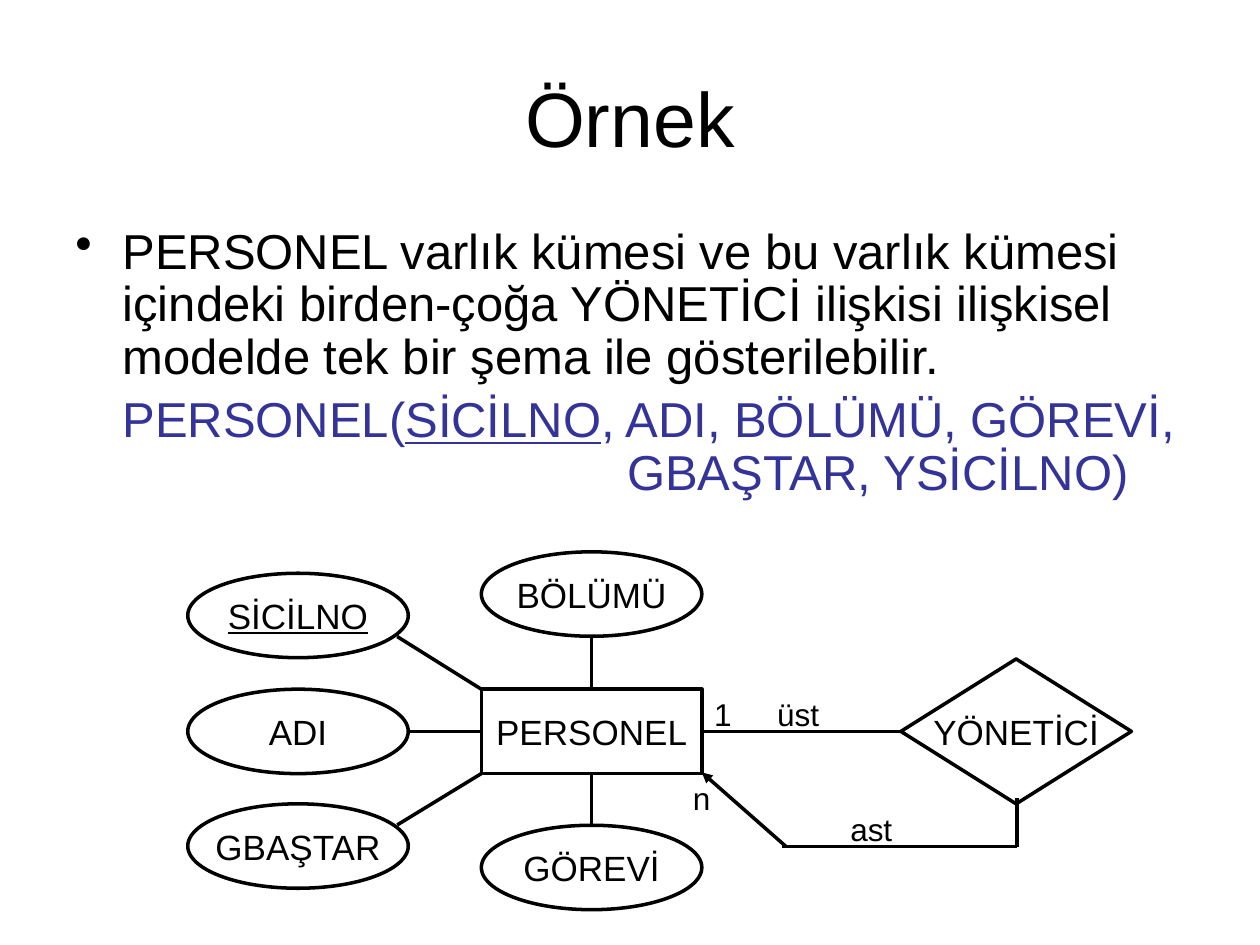
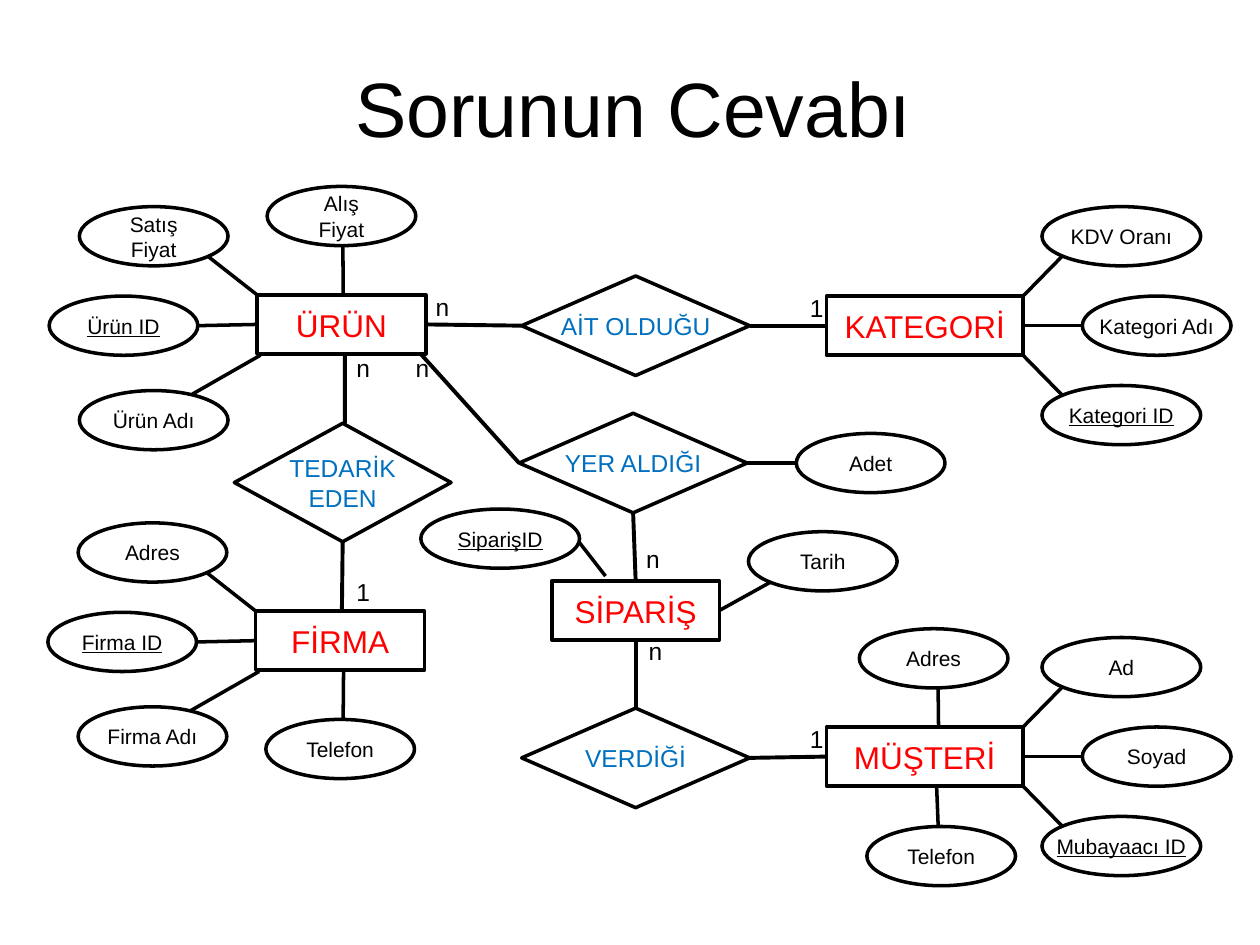
import pptx
import pptx.util
import pptx.dml.color
import pptx.enum.shapes
import pptx.enum.text
import pptx.oxml.ns
import lxml.etree

BLACK = pptx.dml.color.RGBColor(0x00, 0x00, 0x00)
RED = pptx.dml.color.RGBColor(0xFF, 0x00, 0x00)
BLUE = pptx.dml.color.RGBColor(0x00, 0x70, 0xC0)
INDIGO = pptx.dml.color.RGBColor(0x33, 0x33, 0x99)
FONT = "Arial"
COLUMNS, ROWS = 100, 75

TOP, BOTTOM, LEFT, RIGHT = (0.5, 0), (0.5, 1), (0, 0.5), (1, 0.5)
TOP_LEFT, TOP_RIGHT, BOTTOM_LEFT, BOTTOM_RIGHT = (0, 0), (1, 0), (0, 1), (1, 1)

SUMMARY = [
    [("PERSONEL varlık kümesi ve bu varlık kümesi içindeki birden-çoğa "
      "YÖNETİCİ ilişkisi ilişkisel modelde tek bir şema ile gösterilebilir.", False)],
    [("PERSONEL(", False), ("SİCİLNO", True), (", ADI, BÖLÜMÜ, GÖREVİ,", False)],
    [("GBAŞTAR, YSİCİLNO)", False)],
]
SUMMARY_FORMATS = [
    dict(color=BLACK, bullet=True, indent=3.75),
    dict(color=INDIGO, indent=3.75, before=5.6),
    dict(color=INDIGO, indent=43.8),
]

KEYS = {"SİCİLNO", "Ürün ID", "Kategori ID", "Firma ID", "Mubayaacı ID", "SiparişID"}

EXAMPLE = dict(
    title="Örnek", title_at=(5, 3),
    sizes=dict(entity=20, relation=20, attribute=20, label=18),
    attribute_height=6.7,
    slots=dict(
        left_top=(-23.3, -9.2, 17.5, (0.95, 0.75), TOP_LEFT),
        left=(-23.3, 0, 17.5, RIGHT, LEFT),
        left_bottom=(-23.3, 9.1, 17.5, (0.95, 0.25), BOTTOM_LEFT),
        top=(0, -10.9, 17.5, BOTTOM, TOP),
        bottom=(0, 10.8, 17.5, TOP, BOTTOM),
    ),
    entities={"PERSONEL": (38.2, 54.7, 17.5, 6.7)},
    relations={"YÖNETİCİ": (71.5, 52.3, 18.3, 11.5)},
    colors=dict(entity=BLACK, relation=BLACK),
    attributes={"PERSONEL": dict(left_top="SİCİLNO", left="ADI", left_bottom="GBAŞTAR",
                                 top="BÖLÜMÜ", bottom="GÖREVİ")},
    links=[("PERSONEL", RIGHT, "YÖNETİCİ", LEFT)],
    link_width=2,
    routes=[[(80.7, 63.3), (80.7, 67.2), (62.1, 67.2)]],
    arrows=[((55.7, 61.3), (62.4, 67.2))],
    label_align="LEFT",
    labels=[("üst", 60.7, 54.7, 6.7), ("ast", 66.5, 63.8, 6.7),
            ("1", 55.7, 54.7, 4.2), ("n", 54, 61.3, 4.2)],
)

ANSWER = dict(
    title="Sorunun Cevabı", title_at=(5.3, 2.2),
    sizes=dict(entity=18, relation=14, attribute=12, label=14),
    attribute_height=4.7,
    slots=dict(
        left_top=(-14.1, -7, 11.8, (0.86, 0.83), TOP_LEFT),
        left=(-16.5, 0.1, 11.8, RIGHT, LEFT),
        left_bottom=(-14.1, 7.6, 11.8, (0.76, 0.06), (0.02, 1.02)),
        right_top=(17.1, -7.1, 12.6, (0.13, 0.83), TOP_RIGHT),
        right=(20.3, 0, 11.8, LEFT, RIGHT),
        right_bottom=(17.1, 7.1, 12.6, (0.13, 0.17), BOTTOM_RIGHT),
        top=(0.8, -8.6, 11.8, (0.51, 1), (0.51, 0)),
        bottom=(0.8, 8.6, 11.8, (0.52, 0), (0.52, 1)),
        top_centre=(2.6, -7.8, 11.8, (0.53, 1), (0.57, 0)),
        bottom_centre=(3.2, 7.9, 11.8, (0.48, 0), (0.56, 1)),
        date=(15.6, -3.9, 11.8, (0.15, 0.85), RIGHT),
        quantity=(22, 1.6, 11.8, LEFT, RIGHT),
        order_key=(-10.4, -5.7, 12.6, (1, 0.57), (0.32, -0.08)),
    ),
    entities={
        "ÜRÜN": (20.4, 23.4, 13.4, 4.7),
        "KATEGORİ": (65.6, 23.5, 15.6, 4.7),
        "FİRMA": (20.3, 48.5, 13.4, 4.7),
        "SİPARİŞ": (43.8, 46.1, 13.3, 4.7),
        "MÜŞTERİ": (65.6, 57.7, 15.6, 4.7),
    },
    relations={
        "AİT OLDUĞU": (41.4, 21.9, 18.1, 7.9),
        "TEDARİK\nEDEN": (18.6, 33.6, 17.2, 9.4),
        "YER ALDIĞI": (41.2, 32.8, 18.1, 7.9),
        "VERDİĞİ": (41.4, 56.2, 18.1, 7.9),
    },
    colors=dict(entity=RED, relation=BLUE),
    attributes={
        "ÜRÜN": dict(left_top="Satış\nFiyat", left="Ürün ID",
                     left_bottom="Ürün Adı", top="Alış\nFiyat"),
        "KATEGORİ": dict(right_top="KDV Oranı", right="Kategori Adı",
                         right_bottom="Kategori ID"),
        "FİRMA": dict(left_top="Adres", left="Firma ID",
                      left_bottom="Firma Adı", bottom="Telefon"),
        "MÜŞTERİ": dict(right_top="Ad", right="Soyad", right_bottom="Mubayaacı ID",
                        top_centre="Adres", bottom_centre="Telefon"),
        "SİPARİŞ": dict(date="Tarih", order_key="SiparişID"),
        "YER ALDIĞI": dict(quantity="Adet"),
    },
    links=[
        ("ÜRÜN", RIGHT, "AİT OLDUĞU", LEFT),
        ("AİT OLDUĞU", RIGHT, "KATEGORİ", LEFT),
        ("ÜRÜN", (0.52, 1), "TEDARİK\nEDEN", (0.51, 0)),
        ("TEDARİK\nEDEN", BOTTOM, "FİRMA", (0.51, 0)),
        ("ÜRÜN", (0.97, 1), "YER ALDIĞI", LEFT),
        ("YER ALDIĞI", BOTTOM, "SİPARİŞ", TOP),
        ("SİPARİŞ", BOTTOM, "VERDİĞİ", TOP),
        ("VERDİĞİ", RIGHT, "MÜŞTERİ", LEFT),
    ],
    link_width=2.25,
    routes=[],
    arrows=[],
    label_align="CENTER",
    labels=[(mark, left, top, 2.3) for mark, left, top in [
        ("1", 63.3, 22.8), ("n", 33.6, 22.7), ("1", 27.3, 45.3), ("n", 27.3, 27.5),
        ("n", 32, 27.5), ("n", 50.5, 50), ("n", 50.3, 42.7), ("1", 63.3, 57)]],
)

deck = pptx.Presentation()
deck.slide_width, deck.slide_height = pptx.util.Inches(10), pptx.util.Inches(7.5)


def across(columns):
    return round(deck.slide_width * columns / COLUMNS)


def down(rows):
    return round(deck.slide_height * rows / ROWS)


def place(left, top, width, height):
    return across(left), down(top), across(width), down(height)


def point_on(area, share):
    left, top, width, height = area
    return left + width * share[0], top + height * share[1]


def write(paragraph, text, size=28, color=BLACK, underline=False, align=None,
          bullet=False, indent=0, before=0, spacing=None):
    if not paragraph.runs:
        properties = paragraph._p.get_or_add_pPr()
        if indent:
            properties.set("marL", str(across(indent)))
            properties.set("indent", str(-across(indent) if bullet else 0))
        if bullet:
            mark = lxml.etree.SubElement(properties, pptx.oxml.ns.qn("a:buChar"))
            mark.set("char", "•")
        if align:
            paragraph.alignment = getattr(pptx.enum.text.PP_ALIGN, align)
        if before:
            paragraph.space_before = pptx.util.Pt(before)
        if spacing:
            paragraph.line_spacing = spacing
    run = paragraph.add_run()
    run.text = text
    run.font.name = FONT
    run.font.size = pptx.util.Pt(size)
    run.font.color.rgb = color
    run.font.underline = underline


def write_lines(frame, text, **text_format):
    for number, line in enumerate(text.split("\n")):
        paragraph = frame.add_paragraph() if number else frame.paragraphs[0]
        write(paragraph, line, **text_format)


def add_box(slide, area, anchor="TOP"):
    frame = slide.shapes.add_textbox(*place(*area)).text_frame
    frame.word_wrap = True
    frame.vertical_anchor = getattr(pptx.enum.text.MSO_ANCHOR, anchor)
    return frame


def add_node(slide, preset, area, text, **text_format):
    kind = getattr(pptx.enum.shapes.MSO_SHAPE, preset)
    node = slide.shapes.add_shape(kind, *place(*area))
    node.shadow.inherit = False
    node.fill.background()
    node.line.color.rgb = BLACK
    node.line.width = pptx.util.Pt(2)
    node.text_frame.word_wrap = False
    node.text_frame.vertical_anchor = pptx.enum.text.MSO_ANCHOR.MIDDLE
    write_lines(node.text_frame, text, align="CENTER", **text_format)


def add_line(slide, start, end, width=2, arrow=False):
    line = slide.shapes.add_connector(
        pptx.enum.shapes.MSO_CONNECTOR.STRAIGHT,
        across(start[0]), down(start[1]), across(end[0]), down(end[1]))
    line.line.color.rgb = BLACK
    line.line.width = pptx.util.Pt(width)
    if arrow:
        head = lxml.etree.SubElement(line.line._get_or_add_ln(), pptx.oxml.ns.qn("a:headEnd"))
        head.set("type", "triangle")
    lxml.etree.SubElement(line._element.spPr, pptx.oxml.ns.qn("a:effectLst"))


def add_diagram(diagram):
    slide = deck.slides.add_slide(deck.slide_layouts[6])
    sizes, colors = diagram["sizes"], diagram["colors"]
    title = add_box(slide, (*diagram["title_at"], 90, 12.5), anchor="MIDDLE")
    write_lines(title, diagram["title"], size=44, align="CENTER")

    areas = {**diagram["entities"], **diagram["relations"]}
    for first, first_share, second, second_share in diagram["links"]:
        add_line(slide, point_on(areas[first], first_share),
                 point_on(areas[second], second_share), width=diagram["link_width"])
    for route in diagram["routes"]:
        for start, end in zip(route, route[1:]):
            add_line(slide, start, end)
    for start, end in diagram["arrows"]:
        add_line(slide, start, end, arrow=True)

    for owner, attributes in diagram["attributes"].items():
        for slot, text in attributes.items():
            right, below, width, rim, edge = diagram["slots"][slot]
            left, top = areas[owner][:2]
            area = (left + right, top + below, width, diagram["attribute_height"])
            add_line(slide, point_on(area, rim), point_on(areas[owner], edge))
            add_node(slide, "OVAL", area, text, size=sizes["attribute"],
                     underline=text in KEYS)
    for text, area in diagram["entities"].items():
        add_node(slide, "RECTANGLE", area, text, size=sizes["entity"], color=colors["entity"])
    for text, area in diagram["relations"].items():
        add_node(slide, "DIAMOND", area, text, size=sizes["relation"], color=colors["relation"])
    for text, left, top, width in diagram["labels"]:
        write_lines(add_box(slide, (left, top, width, 4)), text,
                    size=sizes["label"], align=diagram["label_align"])
    return slide


def add_summary(slide):
    frame = add_box(slide, (5, 17.5, 90, 24.7))
    for number, (runs, text_format) in enumerate(zip(SUMMARY, SUMMARY_FORMATS)):
        paragraph = frame.add_paragraph() if number else frame.paragraphs[0]
        for text, underline in runs:
            write(paragraph, text, underline=underline, spacing=0.9, **text_format)


def main():
    add_summary(add_diagram(EXAMPLE))
    add_diagram(ANSWER)
    deck.save("out.pptx")


if __name__ == "__main__":
    main()
